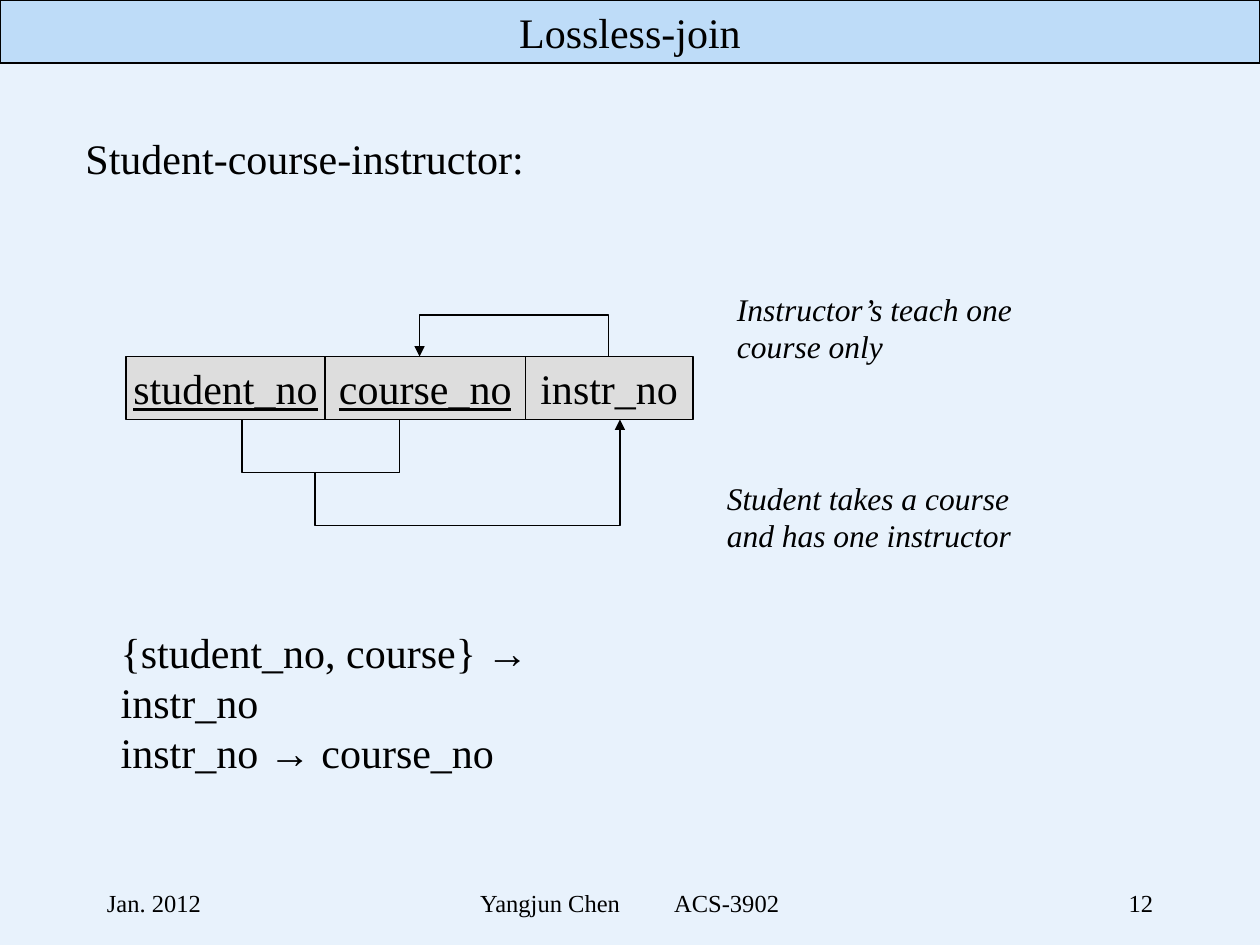
from dataclasses import dataclass
from itertools import accumulate

from pptx import Presentation
from pptx.dml.color import RGBColor
from pptx.enum.shapes import MSO_SHAPE
from pptx.enum.text import MSO_ANCHOR, PP_ALIGN
from pptx.oxml.ns import qn
from pptx.shapes.autoshape import Shape
from pptx.slide import Slide
from pptx.util import Inches, Pt
from lxml.etree import SubElement

COLORS = {
    "background": "E8F2FC",
    "title": "BEDCF8",
    "attribute": "DDDDDD",
    "ink": "000000",
}
TEXT_FONT = "Times New Roman"
ARROW_FONT = "Arial"
ARROW = "→"
ROW_LEFT, ROW_TOP, ROW_HEIGHT = 1, 2.83, 0.5
ROW_BOTTOM = ROW_TOP + ROW_HEIGHT


@dataclass
class Attribute:
    name: str
    width: float
    is_key: bool


@dataclass
class Label:
    lines: list[str]
    left: float
    top: float
    width: float
    height: float
    size: int = 24
    italic: bool = False
    align: PP_ALIGN = PP_ALIGN.LEFT
    wrap: bool = True


@dataclass
class Path:
    points: list[tuple[float, float]]
    arrow: bool = True


ATTRIBUTES = [
    Attribute("student_no", 1.58, True),
    Attribute("course_no", 1.59, True),
    Attribute("instr_no", 1.33, False),
]
PATHS = [
    Path([(1.92, ROW_BOTTOM), (1.92, 3.75), (3.17, 3.75), (3.17, ROW_BOTTOM)], arrow=False),
    Path([(2.5, 3.75), (2.5, 4.17), (4.92, 4.17), (4.92, ROW_BOTTOM)]),
    Path([(4.83, ROW_TOP), (4.83, 2.5), (3.33, 2.5), (3.33, ROW_TOP)]),
]
LABELS = [
    Label(["Instructor’s teach one course only"], 5.75, 2.25, 2.83, 0.7, 18, True),
    Label(["Student takes a course and has one instructor"], 5.67, 3.75, 2.83, 0.7, 18, True),
    Label(
        ["{student_no, course} → instr_no", "instr_no → course_no"],
        0.86, 4.92, 4.55, 0.9,
    ),
    Label(["Student-course-instructor:"], 0.58, 1, 3.68, 0.5, wrap=False),
    Label(["12"], 7.17, 7, 2.08, 0.5, 14, align=PP_ALIGN.RIGHT),
    Label(["Jan. 2012"], 0.75, 7, 2.08, 0.5, 14),
]
COURSE_FOOTER = Label(["Yangjun Chen\tACS-3902"], 3.42, 7, 3.17, 0.5, 14)


def color(name: str) -> RGBColor:
    return RGBColor.from_string(COLORS[name])


def write(shape: Shape, label: Label, underline: bool = False) -> None:
    frame = shape.text_frame
    frame.word_wrap = label.wrap
    for index, line in enumerate(label.lines):
        paragraph = frame.paragraphs[0] if index == 0 else frame.add_paragraph()
        paragraph.alignment = label.align
        before, arrow, after = line.partition(ARROW)
        for text in filter(None, (before, arrow, after)):
            run = paragraph.add_run()
            run.text = text
            run.font.name = ARROW_FONT if text == ARROW else TEXT_FONT
            run.font.size = Pt(label.size)
            run.font.italic = label.italic
            run.font.underline = underline
            run.font.color.rgb = color("ink")


def outline(shape: Shape) -> None:
    shape.shadow.inherit = False
    shape.line.color.rgb = color("ink")
    shape.line.width = Pt(0.75)


def add_box(slide: Slide, label: Label, fill: str, underline: bool = False) -> Shape:
    shape = slide.shapes.add_shape(
        MSO_SHAPE.RECTANGLE,
        Inches(label.left), Inches(label.top), Inches(label.width), Inches(label.height),
    )
    shape.fill.solid()
    shape.fill.fore_color.rgb = color(fill)
    outline(shape)
    shape.text_frame.vertical_anchor = MSO_ANCHOR.MIDDLE
    write(shape, label, underline)
    return shape


def add_label(slide: Slide, label: Label) -> Shape:
    shape = slide.shapes.add_textbox(
        Inches(label.left), Inches(label.top), Inches(label.width), Inches(label.height)
    )
    write(shape, label)
    return shape


def add_path(slide: Slide, path: Path) -> None:
    start, *rest = [(Inches(x), Inches(y)) for x, y in path.points]
    builder = slide.shapes.build_freeform(*start)
    builder.add_line_segments(rest, close=False)
    shape = builder.convert_to_shape()
    shape.fill.background()
    outline(shape)
    if path.arrow:
        SubElement(shape.line._get_or_add_ln(), qn("a:tailEnd"), type="triangle")


def add_course_footer(slide: Slide) -> None:
    shape = add_label(slide, COURSE_FOOTER)
    shape.text_frame.margin_left = Inches(0.39)
    properties = shape.text_frame.paragraphs[0]._p.get_or_add_pPr()
    tabs = SubElement(properties, qn("a:tabLst"))
    SubElement(tabs, qn("a:tab"), pos=str(Inches(1.54)), algn="l")


def main() -> None:
    presentation = Presentation()
    presentation.slide_width = Inches(10)
    presentation.slide_height = Inches(7.5)
    slide = presentation.slides.add_slide(presentation.slide_layouts[6])
    slide.background.fill.solid()
    slide.background.fill.fore_color.rgb = color("background")

    title = Label(["Lossless-join"], 0, 0, 10, 0.5, align=PP_ALIGN.CENTER)
    add_box(slide, title, "title").text_frame.vertical_anchor = MSO_ANCHOR.TOP

    lefts = accumulate((attribute.width for attribute in ATTRIBUTES), initial=ROW_LEFT)
    for attribute, left in zip(ATTRIBUTES, lefts):
        cell = Label(
            [attribute.name], left, ROW_TOP, attribute.width, ROW_HEIGHT,
            align=PP_ALIGN.CENTER, wrap=False,
        )
        add_box(slide, cell, "attribute", attribute.is_key)

    for path in PATHS:
        add_path(slide, path)
    for label in LABELS:
        add_label(slide, label)
    add_course_footer(slide)
    presentation.save("out.pptx")


if __name__ == "__main__":
    main()
